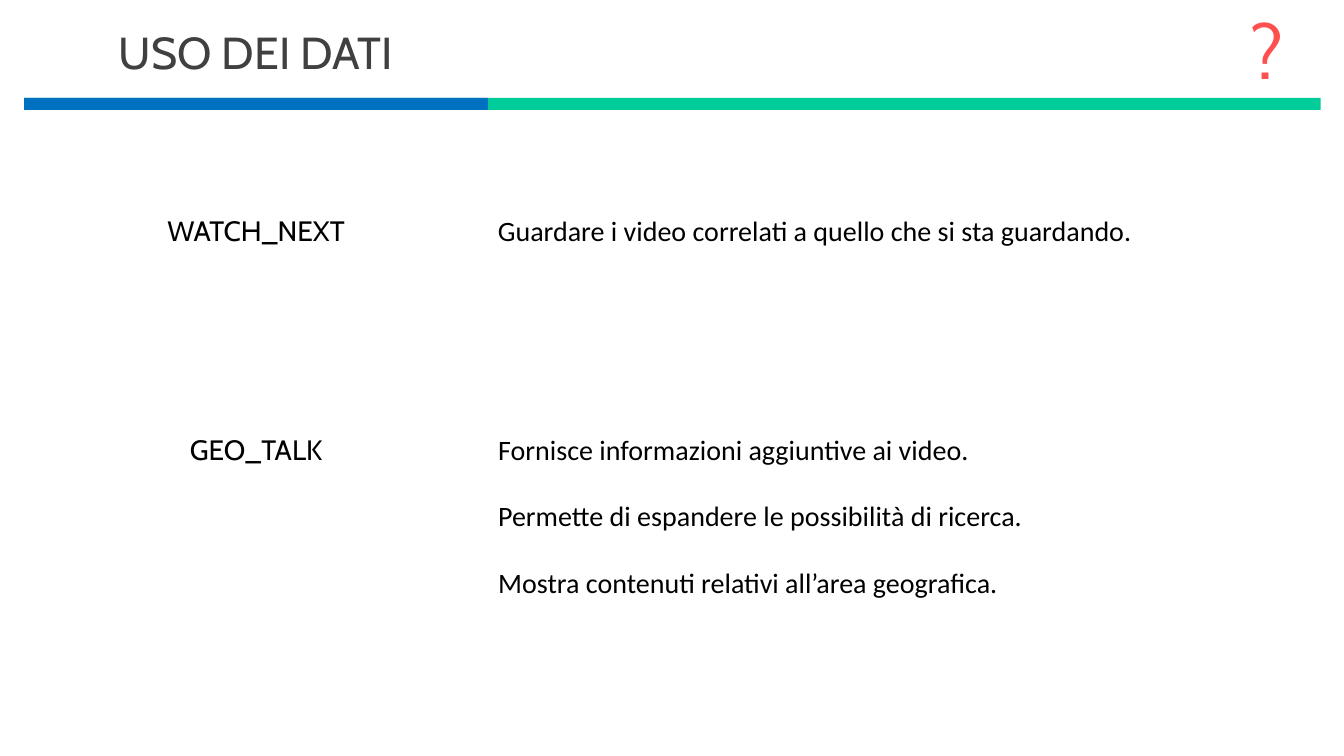
"""Build the slide on data use: a title bar and two topics with their notes."""
from lxml import etree
from pptx import Presentation
from pptx.dml.color import RGBColor
from pptx.enum.shapes import MSO_SHAPE
from pptx.enum.text import MSO_ANCHOR, MSO_AUTO_SIZE, PP_ALIGN
from pptx.oxml.ns import qn
from pptx.util import Inches, Pt

RECT = MSO_SHAPE.RECTANGLE
TOP = MSO_ANCHOR.TOP
FIXED = MSO_AUTO_SIZE.NONE
LEFT, CENTER = PP_ALIGN.LEFT, PP_ALIGN.CENTER
EDGE, SPLIT, END = 0.24, 4.84, 13.1


def color(code):
    return RGBColor.from_string(code)


def write(box, at, lines, size, font, code, align):
    box.left, box.top, box.width, box.height = [Inches(n) for n in at]
    frame = box.text_frame
    frame.text = "\n".join(lines)
    frame.word_wrap = True
    frame.auto_size = FIXED
    frame.vertical_anchor = TOP
    for i, para in enumerate(frame.paragraphs):
        para.alignment = align
        para.space_before = Pt(23.5 if i else 0)
        run = para.runs[0].font
        run.size, run.name = Pt(size), font
        run.color.rgb = color(code)


deck = Presentation()
deck.slide_width, deck.slide_height = Inches(13.33), Inches(7.5)
slide = deck.slides.add_slide(deck.slide_layouts[1])
shapes = slide.shapes
title, body = slide.placeholders

for right, code in [(END, "00CC99"), (SPLIT, "0070C0")]:
    bar = shapes.add_shape(RECT, Inches(EDGE), Inches(0.97),
                           Inches(right - EDGE), Inches(0.12))
    bar.shadow.inherit = False
    bar.fill.solid()
    bar.fill.fore_color.rgb = color(code)
    bar.line.fill.background()

write(title, (EDGE, 0.19, SPLIT - EDGE, 0.64), ["USO DEI DATI"],
      32, "Cabin", "404040", CENTER)
mark = shapes.add_textbox(0, 0, 0, 0)
write(mark, (12.04, -0.01, 1.06, 1.01), ["?"], 54, "Cabin", "FF5050", CENTER)

topics = [
    ("WATCH_NEXT", 2.07, 0.44, shapes.add_textbox(0, 0, 0, 0),
     ["Guardare i video correlati a quello che si sta guardando."]),
    ("GEO_TALK", 4.24, 1.78, body,
     ["Fornisce informazioni aggiuntive ai video.",
      "Permette di espandere le possibilità di ricerca.",
      "Mostra contenuti relativi all’area geografica."]),
]
for name, top, height, notes, lines in topics:
    label = shapes.add_textbox(0, 0, 0, 0)
    write(label, (EDGE, top, SPLIT - EDGE, 0.44), [name],
          20, "Cabin", "000000", CENTER)
    write(notes, (SPLIT, top, END - SPLIT, height), lines,
          20, "Calibri", "000000", LEFT)

for para in body.text_frame.paragraphs:
    props = para._p.get_or_add_pPr()
    props.set("marL", "0")
    props.set("indent", "0")
    etree.SubElement(props, qn("a:buNone"))

deck.save("out.pptx")
